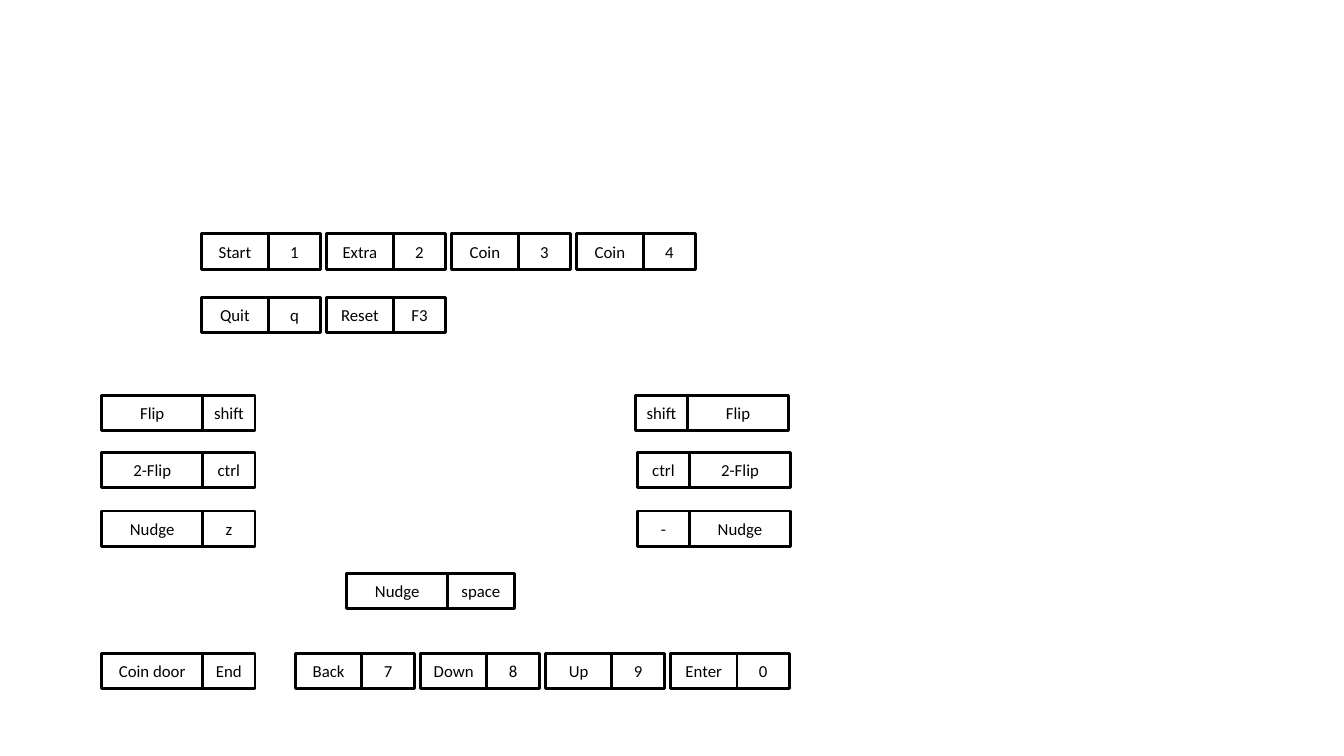
from dataclasses import dataclass

from pptx import Presentation
from pptx.dml.color import RGBColor
from pptx.enum.shapes import MSO_SHAPE
from pptx.enum.text import MSO_ANCHOR, PP_ALIGN
from pptx.shapes.shapetree import GroupShapes, SlideShapes
from pptx.slide import Slide
from pptx.util import Inches, Pt

BLACK = RGBColor(0x00, 0x00, 0x00)
FONT_NAME = "Calibri"
BOX_HEIGHT = 0.35
WIDE = 1.0
MEDIUM = 0.66
NARROW = 0.52
ROW_PITCH = 1.24


@dataclass(frozen=True)
class KeyBinding:
    action: str
    key: str
    left: float
    top: float
    action_width: float = WIDE
    key_width: float = NARROW
    key_first: bool = False


def binding_row(left: float, top: float, labels: list[tuple[str, str]]) -> list[KeyBinding]:
    return [
        KeyBinding(action, key, left + index * ROW_PITCH, top, MEDIUM)
        for index, (action, key) in enumerate(labels)
    ]


BINDINGS = [
    KeyBinding("Coin door", "End", 1.01, 6.48),
    KeyBinding("Flip", "shift", 1.01, 3.92),
    KeyBinding("Flip", "shift", 6.3, 3.92, key_first=True),
    KeyBinding("2-Flip", "ctrl", 1.01, 4.49),
    KeyBinding("2-Flip", "ctrl", 6.32, 4.49, key_first=True),
    KeyBinding("Nudge", "z", 1.01, 5.07),
    KeyBinding("Nudge", "-", 6.32, 5.07, key_first=True),
    KeyBinding("Nudge", "space", 3.44, 5.69, key_width=MEDIUM),
    *binding_row(2.93, 6.48, [("Back", "7"), ("Down", "8"), ("Up", "9"), ("Enter", "0")]),
    *binding_row(2.0, 2.32, [("Start", "1"), ("Extra", "2"), ("Coin", "3"), ("Coin", "4")]),
    *binding_row(2.0, 2.95, [("Quit", "q"), ("Reset", "F3")]),
]


def draw_box(
    shapes: SlideShapes | GroupShapes, text: str, left: float, top: float, width: float
) -> None:
    shape = shapes.add_shape(
        MSO_SHAPE.RECTANGLE, Inches(left), Inches(top), Inches(width), Inches(BOX_HEIGHT)
    )
    shape.shadow.inherit = False
    shape.fill.background()
    shape.line.color.rgb = BLACK
    shape.line.width = Pt(2)
    text_frame = shape.text_frame
    text_frame.text = text
    text_frame.vertical_anchor = MSO_ANCHOR.MIDDLE
    paragraph = text_frame.paragraphs[0]
    paragraph.alignment = PP_ALIGN.CENTER
    font = paragraph.runs[0].font
    font.name = FONT_NAME
    font.size = Pt(12)
    font.color.rgb = BLACK


def draw_binding(slide: Slide, binding: KeyBinding) -> None:
    action_left, key_left = binding.left, binding.left + binding.action_width
    shapes = slide.shapes
    if binding.key_first:
        action_left, key_left = binding.left + binding.key_width, binding.left
    else:
        shapes = slide.shapes.add_group_shape().shapes
    draw_box(shapes, binding.action, action_left, binding.top, binding.action_width)
    draw_box(shapes, binding.key, key_left, binding.top, binding.key_width)


def main() -> None:
    presentation = Presentation()
    presentation.slide_width = Inches(13.33)
    presentation.slide_height = Inches(7.5)
    blank_layout = presentation.slide_layouts.get_by_name("Blank")
    slide = presentation.slides.add_slide(blank_layout)
    for binding in BINDINGS:
        draw_binding(slide, binding)
    presentation.save("out.pptx")


if __name__ == "__main__":
    main()
